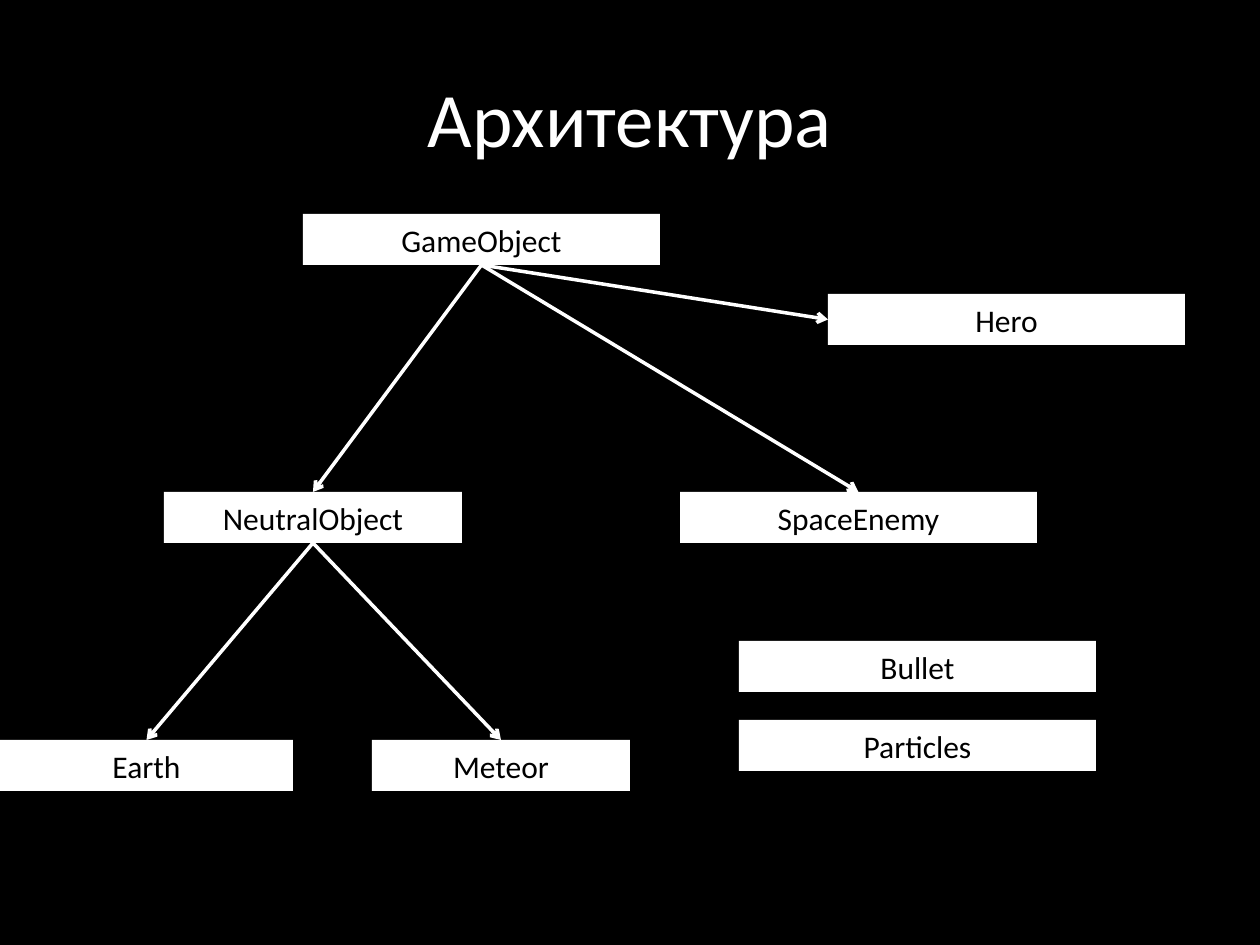
from lxml import etree
from pptx import Presentation
from pptx.dml.color import RGBColor
from pptx.enum.shapes import MSO_CONNECTOR, MSO_SHAPE
from pptx.enum.text import MSO_ANCHOR, MSO_AUTO_SIZE, PP_ALIGN
from pptx.oxml.ns import qn
from pptx.util import Pt

PX = 914400 // 126
SLIDE_WIDTH, SLIDE_HEIGHT = 1260, 945
TITLE_ONLY = 5
FONT = "Calibri"
COLORS = {"background": "000000", "light": "FFFFFF", "dark": "000000"}

RECTANGLE = MSO_SHAPE.RECTANGLE
STRAIGHT = MSO_CONNECTOR.STRAIGHT
CENTER = PP_ALIGN.CENTER
MIDDLE = MSO_ANCHOR.MIDDLE
GROW = MSO_AUTO_SIZE.SHAPE_TO_FIT_TEXT
TOP, LEFT, BOTTOM = 0, 1, 2  # connection sites of a rectangle

CLASS_HEIGHT = 51
WIDE = 357
# class name: left, top, width
CLASSES = {
    "GameObject": (303, 214, WIDE),
    "Hero": (828, 294, WIDE),
    "NeutralObject": (164, 492, 298),
    "SpaceEnemy": (680, 492, WIDE),
    "Earth": (0, 740, 293),
    "Meteor": (372, 740, 258),
    "Bullet": (739, 641, WIDE),
    "Particles": (739, 720, WIDE),
}
# parent, child, side of the child that the arrow meets
INHERITANCE = [
    ("GameObject", "NeutralObject", TOP),
    ("GameObject", "SpaceEnemy", TOP),
    ("GameObject", "Hero", LEFT),
    ("NeutralObject", "Earth", TOP),
    ("NeutralObject", "Meteor", TOP),
]


def px(length):
    """Convert pixels to EMU."""
    return length * PX


def rgb(name):
    """Look up a palette colour."""
    return RGBColor.from_string(COLORS[name])


def style_text(frame, size, color):
    """Center the text of a frame and set its font."""
    frame.vertical_anchor = MIDDLE
    for paragraph in frame.paragraphs:
        paragraph.alignment = CENTER
        paragraph.font.name = FONT
        paragraph.font.size = Pt(size)
        paragraph.font.color.rgb = rgb(color)


def set_title(slide, wording):
    """Fill and place the title placeholder."""
    title = slide.shapes.title
    title.left, title.top, title.width, title.height = map(px, (63, 38, 1134, 157))
    title.text_frame.text = wording
    style_text(title.text_frame, 44, "light")


def add_class(slide, name, left, top, width):
    """Add a labelled class box."""
    box = slide.shapes.add_shape(
        RECTANGLE, px(left), px(top), px(width), px(CLASS_HEIGHT)
    )
    box.shadow.inherit = False
    box.fill.solid()
    box.fill.fore_color.rgb = rgb("light")
    box.line.fill.background()
    box.text_frame.text = name
    box.text_frame.word_wrap = True
    box.text_frame.auto_size = GROW
    style_text(box.text_frame, 18, "dark")
    return box


def add_arrow(slide, parent, child, side):
    """Draw an arrow from the bottom of a parent to a side of its child."""
    arrow = slide.shapes.add_connector(STRAIGHT, 0, 0, 0, 0)
    arrow.begin_connect(parent, BOTTOM)
    arrow.end_connect(child, side)
    arrow.line.color.rgb = rgb("light")
    arrow.line.width = Pt(2)
    etree.SubElement(arrow.line._get_or_add_ln(), qn("a:tailEnd"), type="arrow")
    etree.SubElement(arrow._element.spPr, qn("a:effectLst"))


def main():
    """Build the architecture slide."""
    deck = Presentation()
    deck.slide_width, deck.slide_height = px(SLIDE_WIDTH), px(SLIDE_HEIGHT)
    slide = deck.slides.add_slide(deck.slide_layouts[TITLE_ONLY])
    slide.background.fill.solid()
    slide.background.fill.fore_color.rgb = rgb("background")

    set_title(slide, "Архитектура")
    boxes = {name: add_class(slide, name, *place) for name, place in CLASSES.items()}
    for parent, child, side in INHERITANCE:
        add_arrow(slide, boxes[parent], boxes[child], side)

    deck.save("out.pptx")


main()
